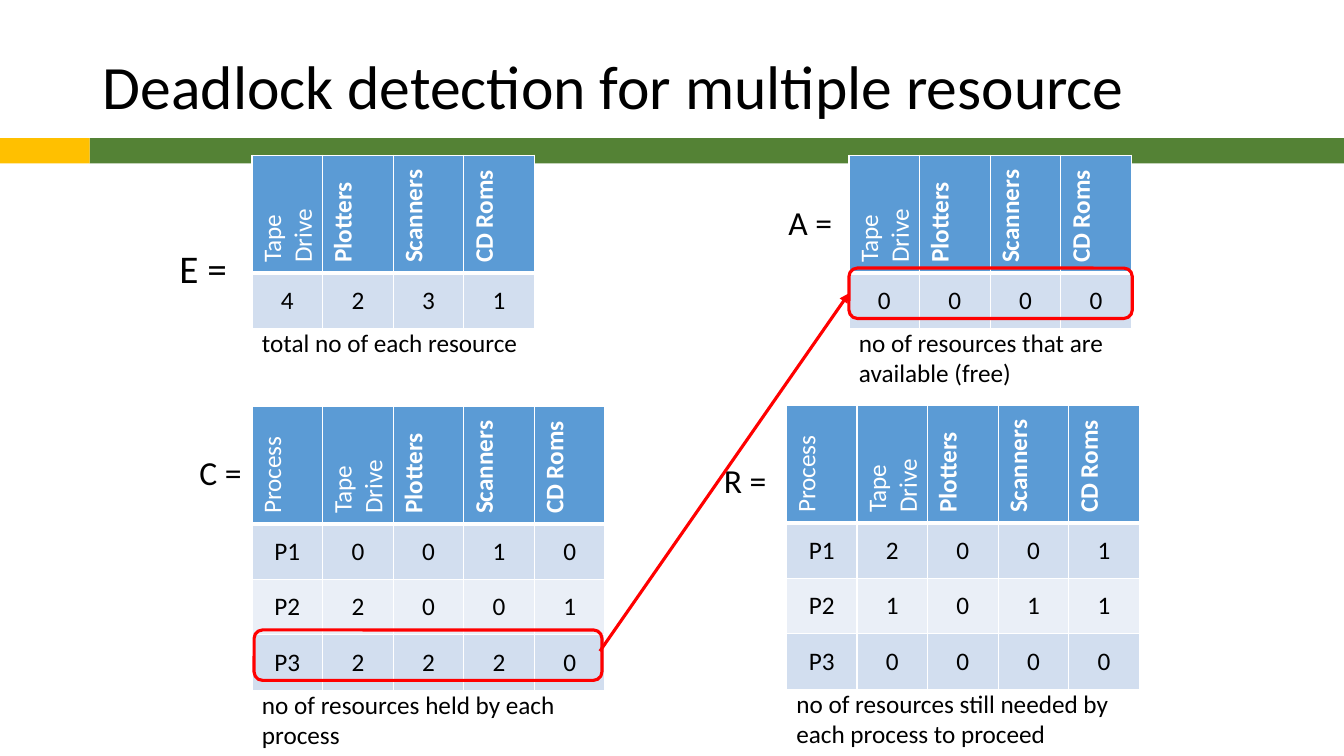
import pptx
import pptx.dml.color
import pptx.enum.shapes
import pptx.enum.text
import pptx.oxml
import pptx.oxml.ns
import pptx.util
from dataclasses import dataclass

Inches = pptx.util.Inches
Shape = pptx.enum.shapes.MSO_SHAPE
Anchor = pptx.enum.text.MSO_ANCHOR
Align = pptx.enum.text.PP_ALIGN


@dataclass(frozen=True)
class Theme:
    font: str = "Calibri"
    black: str = "000000"
    white: str = "FFFFFF"
    green: str = "548235"
    gold: str = "FFC000"
    head: str = "5B9BD5"
    odd: str = "D2DEEF"
    even: str = "EAEFF7"
    red: str = "FF0000"
    title: int = 44
    large: int = 28
    label: int = 24
    text: int = 18
    mark: float = 2.25


THEME = Theme()
COL, HEAD, ROW = 0.7, 1.11, 0.55
KINDS = ["Tape Drive", "Plotters", "Scanners", "CD Roms"]
PLAIN = ("Process", "Tape Drive")


def rgb(code):
    return pptx.dml.color.RGBColor.from_string(code)


def style(frame, size, color=THEME.black, bold=False):
    for para in frame.paragraphs:
        for run in para.runs:
            run.font.name = THEME.font
            run.font.size = pptx.util.Pt(size)
            run.font.bold = bold
            run.font.color.rgb = rgb(color)


def write(slide, box, text, size, anchor=Anchor.TOP, space=None):
    frame = slide.shapes.add_textbox(*map(Inches, box)).text_frame
    frame.word_wrap = True
    frame.vertical_anchor = anchor
    frame.text = text
    frame.paragraphs[0].line_spacing = space
    style(frame, size)


def edge(cell, base):
    """Draw white borders, with the given width at the bottom."""
    props = cell._tc.get_or_add_tcPr()
    for side, width in (("L", 1), ("R", 1), ("T", 1), ("B", base)):
        props.append(pptx.oxml.parse_xml(
            f'<a:ln{side} {pptx.oxml.ns.nsdecls("a")} w="{pptx.util.Pt(width)}">'
            f'<a:solidFill><a:srgbClr val="{THEME.white}"/></a:solidFill>'
            f'</a:ln{side}>'))


def fill_cell(cell, text, row):
    top = row == 0
    cell.text = text
    cell.vertical_anchor = Anchor.MIDDLE
    edge(cell, 3 if top else 1)
    cell.fill.solid()
    if top:
        cell.fill.fore_color.rgb = rgb(THEME.head)
        cell._tc.get_or_add_tcPr().set("vert", "vert270")
        style(cell.text_frame, THEME.text, THEME.white, text not in PLAIN)
    else:
        cell.fill.fore_color.rgb = rgb(THEME.odd if row % 2 else THEME.even)
        cell.text_frame.paragraphs[0].alignment = Align.CENTER
        style(cell.text_frame, THEME.text)


def grid(slide, left, top, rows):
    wide, high = COL * len(rows[0]), HEAD + ROW * (len(rows) - 1)
    table = slide.shapes.add_table(
        len(rows), len(rows[0]), *map(Inches, (left, top, wide, high))).table
    for col in table.columns:
        col.width = Inches(COL)
    for r, row in enumerate(rows):
        table.rows[r].height = Inches(ROW if r else HEAD)
        for c, text in enumerate(row):
            fill_cell(table.cell(r, c), text, r)
    return high


def panel(slide, box, name, shift, rows, note, size=THEME.label, space=None):
    """Place a table with its name to the left and its note below."""
    left, top, wide = box
    high = grid(slide, left, top, rows)
    write(slide, (left + shift[0], top + shift[1], 0.75, 0.5), name, size,
          space=space)
    write(slide, (left, top + high, wide, 0.71), note, THEME.text)


def bar(slide, box, color):
    shape = slide.shapes.add_shape(Shape.RECTANGLE, *map(Inches, box))
    shape.shadow.inherit = False
    shape.fill.solid()
    shape.fill.fore_color.rgb = rgb(color)
    shape.line.fill.background()


def header(slide, top, high, split, wide):
    bar(slide, (split, top, wide - split, high), THEME.green)
    bar(slide, (0, top, split, high), THEME.gold)
    write(slide, (0.92, top - 0.97, 11.5, 0.97),
          "Deadlock detection for multiple resource",
          THEME.title, Anchor.MIDDLE, 0.9)


def ring(slide, box):
    shape = slide.shapes.add_shape(Shape.ROUNDED_RECTANGLE, *map(Inches, box))
    shape.shadow.inherit = False
    shape.fill.background()
    shape.line.color.rgb = rgb(THEME.red)
    shape.line.width = pptx.util.Pt(THEME.mark)


def arrow(slide, start, end):
    line = slide.shapes.add_connector(
        pptx.enum.shapes.MSO_CONNECTOR.STRAIGHT, *map(Inches, start + end))
    line.line.color.rgb = rgb(THEME.red)
    line.line.width = pptx.util.Pt(THEME.mark)
    space = pptx.oxml.ns.nsdecls("a")
    line.line._get_or_add_ln().append(
        pptx.oxml.parse_xml(f'<a:tailEnd {space} type="triangle"/>'))
    line._element.spPr.append(pptx.oxml.parse_xml(f"<a:effectLst {space}/>"))


def totals(*counts):
    return [KINDS, *map(list, counts)]


def needs(*counts):
    rows = [[f"P{n}", *row] for n, row in enumerate(counts, 1)]
    return [["Process", *KINDS], *rows]


def main():
    deck = pptx.Presentation()
    deck.slide_width, deck.slide_height = Inches(13.33), Inches(7.5)
    slide = deck.slides.add_slide(deck.slide_layouts[6])
    header(slide, 1.37, 0.25, 0.89, 13.33)
    panel(slide, (2.5, 1.54, 2.75), "E =", (-0.82, 0.89), totals("4231"),
          "total no of each resource", THEME.large, 0.9)
    panel(slide, (8.42, 1.54, 2.75), "A =", (-0.7, 0.41), totals("0000"),
          "no of resources that are available (free)")
    panel(slide, (2.5, 4.03, 3.5), "C =", (-0.62, 0.4),
          needs("0010", "2001", "2220"),
          "no of resources held by each process")
    panel(slide, (7.8, 4.02, 3.45), "R =", (-0.72, 0.49),
          needs("2001", "1011", "0000"),
          "no of resources still needed by each process to proceed")
    ring(slide, (2.52, 6.25, 3.45, 0.5))
    ring(slide, (8.42, 2.66, 2.81, 0.5))
    arrow(slide, (5.95, 6.46), (8.42, 2.91))
    deck.save("out.pptx")


if __name__ == "__main__":
    main()
